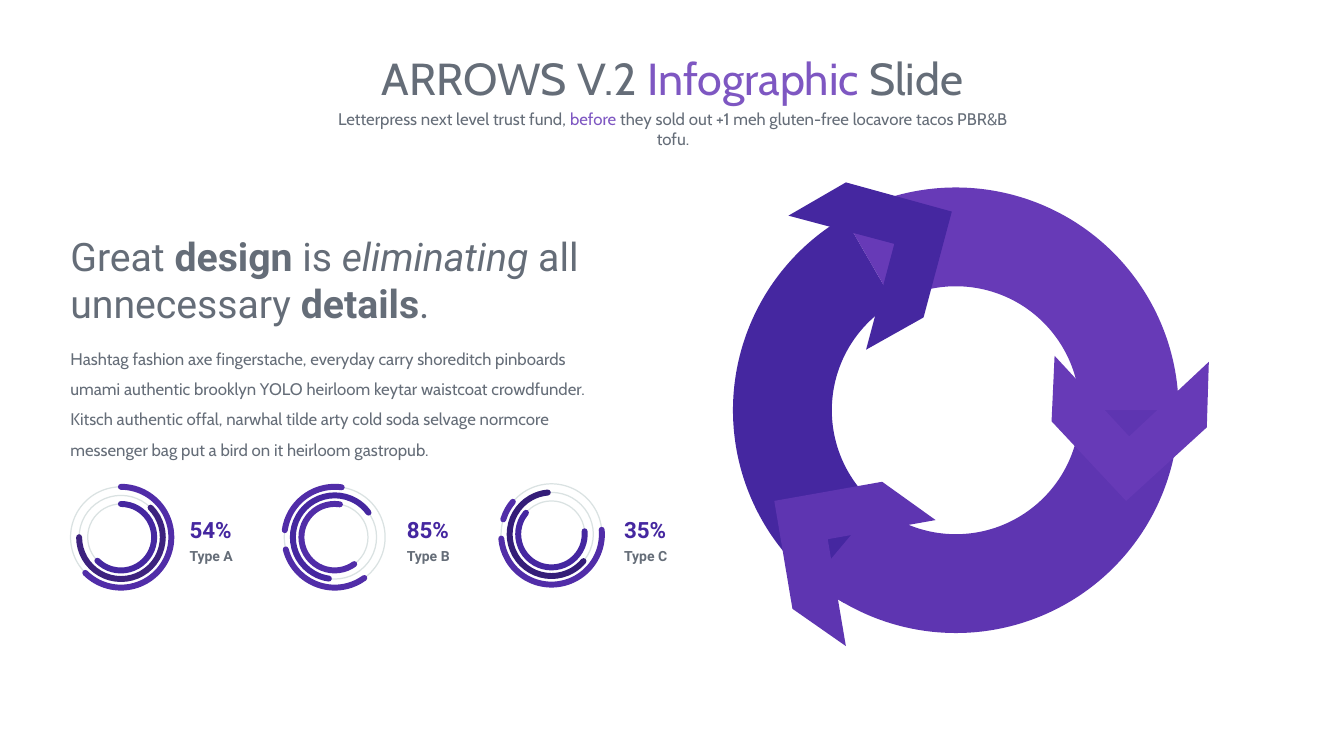
"""Builds the circular arrows infographic slide."""
from pptx import Presentation
from pptx.dml.color import RGBColor
from pptx.enum.shapes import MSO_SHAPE
from pptx.enum.text import PP_ALIGN
from pptx.oxml.ns import qn
from pptx.util import Inches, Pt

OVAL, ARC, BLOCK_ARC = MSO_SHAPE.OVAL, MSO_SHAPE.ARC, MSO_SHAPE.BLOCK_ARC
LEFT, CENTER = PP_ALIGN.LEFT, PP_ALIGN.CENTER

GREY = RGBColor(0x65, 0x6D, 0x78)
PALE = RGBColor(0xDA, 0xE2, 0xE2)
LILAC = RGBColor(0x7E, 0x57, 0xC2)
INDIGO = RGBColor(0x45, 0x27, 0xA0)
VIOLET = RGBColor(0x5E, 0x35, 0xB1)
PURPLE = RGBColor(0x67, 0x3A, 0xB7)
ROYAL = RGBColor(0x51, 0x2D, 0xA8)
PLUM = RGBColor(0x3D, 0x22, 0x7E)
NIGHT = RGBColor(0x34, 0x1D, 0x78)

CYCLE_X, CYCLE_Y = 9.48, 4.07
OUTER, INNER = 2.21, 1.23
RING_RADII = (0.5, 0.415, 0.33)
LABEL_X, LABEL_STEP = 1.88, 2.155

BANDS = [(120, 240, INDIGO), (0, 130, VIOLET), (240, 360, PURPLE)]
HEADS = [
    (INDIGO, [(8.59, 3.47), (8.87, 2.42), (7.82, 2.14),
              (8.39, 1.81), (9.44, 2.1), (9.16, 3.15)]),
    (PURPLE, [(10.46, 3.53), (11.2, 4.33), (11.99, 3.59),
              (11.97, 4.24), (11.17, 4.97), (10.43, 4.18)]),
    (VIOLET, [(9.28, 5.16), (8.21, 5.35), (8.39, 6.41),
              (7.86, 6.04), (7.68, 4.97), (8.75, 4.78)]),
]
DIALS = [
    ("54%", "Type A", 1.2, 5.33,
     [(0, -90, 135, ROYAL), (1, -45, 180, PLUM), (2, -90, 135, INDIGO)]),
    ("85%", "Type B", 3.32, 5.33,
     [(0, 188, 278, ROYAL), (0, 54, 166, ROYAL),
      (1, 98, 324, INDIGO), (2, 54, 279, ROYAL)]),
    ("35%", "Type C", 5.47, 5.3,
     [(0, 197, 220, ROYAL), (0, -5, 175, ROYAL),
      (1, 40, 265, NIGHT), (2, -5, 220, INDIGO)]),
]


class SlideBuilder:
    """Holds the fonts and the current slide."""

    heading_font = "Roboto"
    body_font = "Cabin"

    def __init__(self, slide):
        self.shapes = slide.shapes

    def text(self, box, runs, size, font, align=LEFT, spacing=1.0, inset=None):
        tf = self.shapes.add_textbox(*map(Inches, box)).text_frame
        tf.word_wrap = True
        if inset is not None:
            tf.margin_left = tf.margin_right = Inches(inset)
            tf.margin_top = tf.margin_bottom = Inches(inset)
        p = tf.paragraphs[0]
        p.alignment = align
        p.line_spacing = spacing
        for text, color, bold, italic in runs:
            r = p.add_run()
            r.text = text
            r.font.name = font
            r.font.size = Pt(size)
            r.font.bold = bold
            r.font.italic = italic
            r.font.color.rgb = color

    def round_shape(self, kind, cx, cy, radius, angles=()):
        box = (cx - radius, cy - radius, 2 * radius, 2 * radius)
        sp = self.shapes.add_shape(kind, *map(Inches, box))
        sp.shadow.inherit = False
        for i, angle in enumerate(angles):
            sp.adjustments[i] = angle % 360 * 0.6
        return sp

    def paint(self, sp, color):
        sp.fill.solid()
        sp.fill.fore_color.rgb = color
        sp.line.fill.background()

    def stroke(self, sp, color, width):
        sp.fill.background()
        sp.line.color.rgb = color
        sp.line.width = Pt(width)

    def band(self, start, end, color):
        sp = self.round_shape(BLOCK_ARC, CYCLE_X, CYCLE_Y, OUTER, (start, end))
        sp.adjustments[2] = (OUTER - INNER) / (2 * OUTER)
        self.paint(sp, color)

    def arrowhead(self, points, color):
        first, *rest = [(Inches(x), Inches(y)) for x, y in points]
        fb = self.shapes.build_freeform(*first)
        fb.add_line_segments(rest)
        sp = fb.convert_to_shape()
        sp.shadow.inherit = False
        self.paint(sp, color)

    def dial(self, cx, cy, arcs):
        for radius in RING_RADII:
            self.stroke(self.round_shape(OVAL, cx, cy, radius), PALE, 0.88)
        for index, start, end, color in arcs:
            sp = self.round_shape(ARC, cx, cy, RING_RADII[index], (start, end))
            self.stroke(sp, color, 4.25)
            sp._element.spPr.find(qn("a:ln")).set("cap", "rnd")

    def label(self, x, value, name):
        for text, y, h, size, color in ((value, 5.15, 0.29, 16, INDIGO),
                                        (name, 5.45, 0.23, 10, GREY)):
            self.text((x, y, 0.49, h), [(text, color, True, False)], size,
                      self.heading_font, spacing=0.9, inset=0)


def plain(text, color=GREY):
    return text, color, False, False


def main():
    prs = Presentation()
    prs.slide_width, prs.slide_height = Inches(13.33), Inches(7.5)
    s = SlideBuilder(prs.slides.add_slide(prs.slide_layouts[6]))

    s.text((2.54, 0.45, 8.26, 0.64),
           [plain("ARROWS V.2 "), plain("Infographic ", LILAC), plain("Slide")],
           32, s.body_font, CENTER)
    s.text((3.2, 1.03, 6.95, 0.3),
           [plain("Letterpress next level trust fund, "), plain("before", LILAC),
            plain(" they sold out +1 meh gluten-free locavore tacos PBR&B tofu.")],
           12, s.body_font, CENTER)

    for start, end, color in BANDS:
        s.band(start, end, color)
    for color, points in HEADS:
        s.arrowhead(points, color)

    s.text((0.6, 2.26, 5.46, 1.04),
           [plain("Great "), ("design", GREY, True, False), plain(" is "),
            ("eliminating", GREY, False, True), plain(" all unnecessary "),
            ("details", GREY, True, False), plain(".")],
           28, s.heading_font)
    s.text((0.6, 3.31, 5.32, 1.31),
           [plain("Hashtag fashion axe fingerstache, everyday carry shoreditch "
                  "pinboards umami authentic brooklyn YOLO heirloom keytar "
                  "waistcoat crowdfunder. Kitsch authentic offal, narwhal tilde "
                  "arty cold soda selvage normcore messenger bag put a bird on "
                  "it heirloom gastropub.")],
           12, s.body_font, spacing=1.5)

    for i, (value, name, cx, cy, arcs) in enumerate(DIALS):
        s.dial(cx, cy, arcs)
        s.label(LABEL_X + i * LABEL_STEP, value, name)

    prs.save("out.pptx")


if __name__ == "__main__":
    main()
